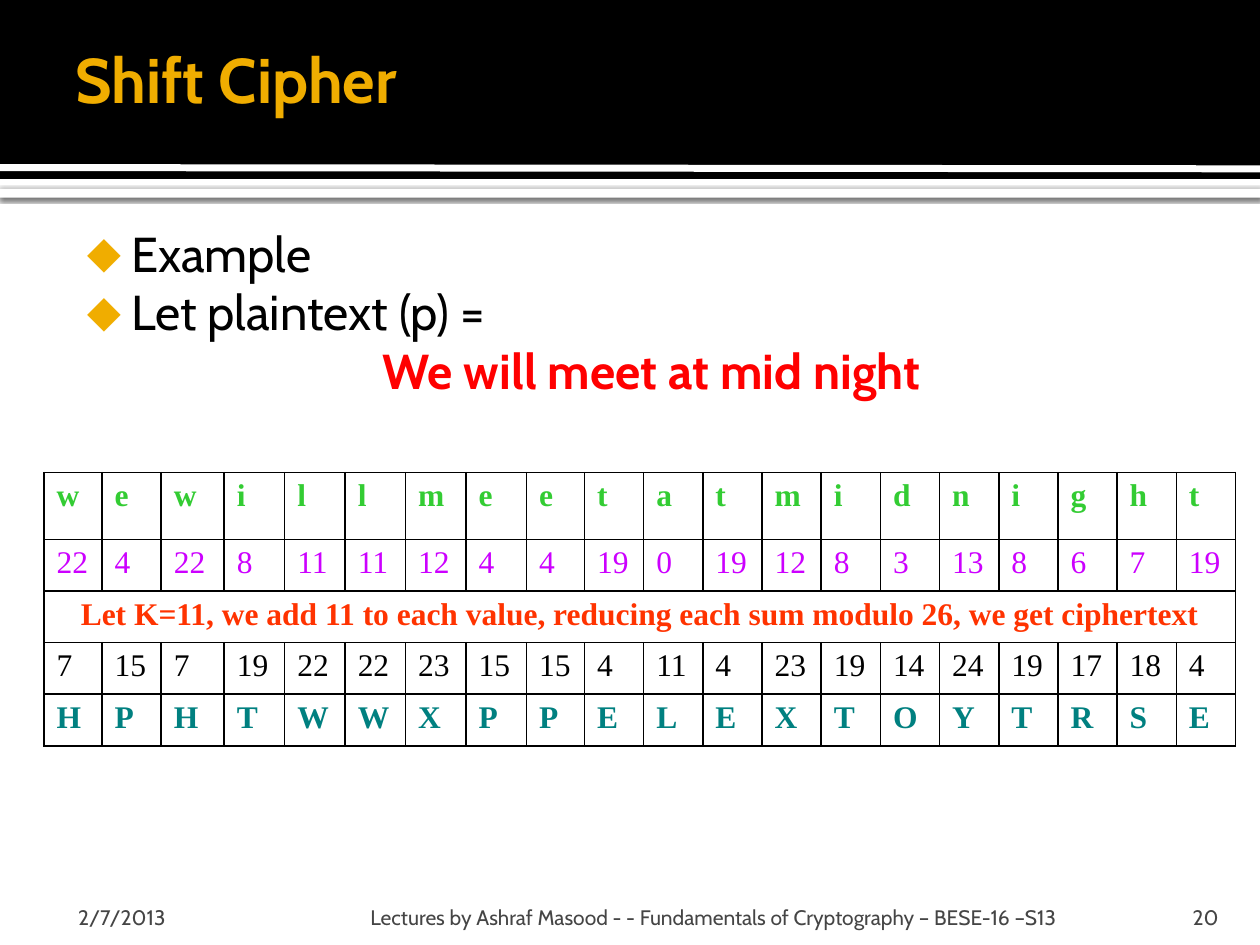
from lxml import etree
from pptx import Presentation
from pptx.dml.color import RGBColor
from pptx.enum.shapes import MSO_CONNECTOR as Connector, MSO_SHAPE as Shape
from pptx.enum.text import MSO_ANCHOR as Anchor, MSO_AUTO_SIZE as AutoSize, PP_ALIGN as Align
from pptx.oxml.ns import qn
from pptx.util import Inches, Pt

COLORS = {
    "black": "000000", "white": "FFFFFF", "gold": "F0AD00", "red": "FF0000",
    "footer": "454545", "plain": "33CC33", "plain_code": "CC00FF",
    "rule": "FF3300", "cipher": "008080",
}
KEY = 11
MESSAGE = "We will meet at mid night"


class SlideBuilder:
    font = "Cabin"
    table_font = "Times New Roman"

    def __init__(self, page):
        self.page = page

    def color(self, name):
        return RGBColor.from_string(COLORS[name])

    def band(self, top, height, color, shadow=False):
        box = self.page.shapes.add_shape(
            Shape.RECTANGLE, 0, Inches(top), Inches(10), Inches(height))
        box.shadow.inherit = False
        box.fill.solid()
        box.fill.fore_color.rgb = self.color(color)
        box.line.fill.background()
        if shadow:
            effects = box.element.spPr.find(qn("a:effectLst"))
            outer = etree.SubElement(effects, qn("a:outerShdw"), blurRad=str(Pt(2.5)),
                                     dist=str(Pt(0.8)), dir="5400000", rotWithShape="0")
            shade = etree.SubElement(outer, qn("a:srgbClr"), val=COLORS["black"])
            etree.SubElement(shade, qn("a:alpha"), val="60000")

    def stripe(self, start, end, color, width):
        line = self.page.shapes.add_connector(
            Connector.STRAIGHT, 0, Inches(start), Inches(10), Inches(end))
        line.line.color.rgb = self.color(color)
        line.line.width = Pt(width)
        etree.SubElement(line.element.spPr, qn("a:effectLst"))

    def frame(self, box, place, insets, anchor):
        box.left, box.top, box.width, box.height = map(Inches, place)
        text = box.text_frame
        text.word_wrap = True
        text.auto_size = AutoSize.NONE
        text.vertical_anchor = anchor
        text.margin_left, text.margin_top, text.margin_right, text.margin_bottom = map(Inches, insets)
        return text

    def add_words(self, para, words, size, color, bold=False, align=Align.LEFT, font=None):
        para.alignment = align
        para.space_before = Pt(0)
        span = para.add_run()
        span.text = words
        span.font.name = font or self.font
        span.font.size = Pt(size)
        span.font.bold = bold
        span.font.color.rgb = self.color(color)

    def bullet(self, para, mark):
        props = para._p.get_or_add_pPr()
        props.set("marL", str(Inches(0.48)))
        props.set("indent", str(Inches(-0.35)))
        if mark:
            tint = etree.SubElement(props, qn("a:buClr"))
            etree.SubElement(tint, qn("a:srgbClr"), val=COLORS["gold"])
            etree.SubElement(props, qn("a:buChar"), char=mark)
        else:
            etree.SubElement(props, qn("a:buNone"))

    def body(self, place, items):
        box = self.page.placeholders[1]
        box.element.getparent().append(box.element)
        text = self.frame(box, place, (0.06, 0.1, 0.1, 0.05), Anchor.TOP)
        for index, (words, mark, color, bold, align) in enumerate(items):
            para = text.add_paragraph() if index else text.paragraphs[0]
            self.bullet(para, mark)
            self.add_words(para, words, 28, color, bold, align)

    def title(self, place, words):
        box = self.page.shapes.title
        box.element.getparent().append(box.element)
        text = self.frame(box, place, (0.1, 0.05, 0.05, 0.05), Anchor.MIDDLE)
        self.add_words(text.paragraphs[0], words, 36, "gold", True)

    def footer(self, left, width, words, insets, align=Align.LEFT):
        box = self.page.shapes.add_textbox(0, 0, 0, 0)
        text = self.frame(box, (left, 7.08, width, 0.3), insets, Anchor.BOTTOM)
        self.add_words(text.paragraphs[0], words, 12, "footer", align=align)

    def cell_style(self, cell):
        props = cell._tc.get_or_add_tcPr()
        for side in ("a:lnL", "a:lnR", "a:lnT", "a:lnB"):
            border = etree.SubElement(props, qn(side), w=str(Pt(1)))
            fill = etree.SubElement(border, qn("a:solidFill"))
            etree.SubElement(fill, qn("a:srgbClr"), val=COLORS["black"])
        cell.fill.background()

    def table(self, left, top, widths, heights, rows):
        grid = self.page.shapes.add_table(
            len(rows), len(widths), Inches(left), Inches(top),
            Inches(sum(widths)), Inches(sum(heights))).table
        grid.first_row = grid.horz_banding = False
        for column, width in zip(grid.columns, widths):
            column.width = Inches(width)
        for row, height in zip(grid.rows, heights):
            row.height = Inches(height)
            for cell in row.cells:
                self.cell_style(cell)
        for index, (values, color, bold) in enumerate(rows):
            align = Align.LEFT
            if len(values) == 1:
                grid.cell(index, 0).merge(grid.cell(index, len(widths) - 1))
                align = Align.CENTER
            for column, value in enumerate(values):
                para = grid.cell(index, column).text_frame.paragraphs[0]
                self.add_words(para, str(value), 18, color, bold, align, self.table_font)


def main():
    deck = Presentation()
    deck.slide_width, deck.slide_height = Inches(10), Inches(7.5)
    slide = SlideBuilder(deck.slides.add_slide(deck.slide_layouts[1]))

    slide.band(1.5, 0.07, "white", shadow=True)
    slide.band(0, 1.42, "black")
    slide.stripe(1.33, 1.34, "white", 4)

    slide.body((0.5, 1.67, 9.25, 5.33), [
        ("Example", "⬥", "black", False, Align.LEFT),
        ("Let plaintext (p) =", "⬥", "black", False, Align.LEFT),
        (MESSAGE, None, "red", True, Align.CENTER),
    ])
    slide.title((0.5, 0.08, 8.25, 1.08), "Shift Cipher")

    slide.footer(0.5, 2.33, "2/7/2013", (0.12, 0.05, 0.05, 0))
    slide.footer(2.89, 6.02,
                 "Lectures by Ashraf Masood - - Fundamentals of Cryptography – BESE-16 –S13",
                 (0.05, 0.05, 0.05, 0))
    slide.footer(8.97, 0.8, "20", (0.1, 0.05, 0.1, 0), Align.RIGHT)

    letters = MESSAGE.lower().replace(" ", "")
    codes = [ord(letter) - ord("a") for letter in letters]
    shifted = [(code + KEY) % 26 for code in codes]
    cipher = [chr(code + ord("A")) for code in shifted]
    rule = f"Let K={KEY}, we add {KEY} to each value, reducing each sum modulo 26, we get ciphertext"
    widths = [0.46, 0.47, 0.5] + [0.48] * 5 + [0.46] + [0.47] * 11
    slide.table(0.35, 3.75, widths, [0.53] + [0.41] * 4, [
        (letters, "plain", True),
        (codes, "plain_code", False),
        ([rule], "rule", True),
        (shifted, "black", False),
        (cipher, "cipher", True),
    ])
    deck.save("out.pptx")


if __name__ == "__main__":
    main()
